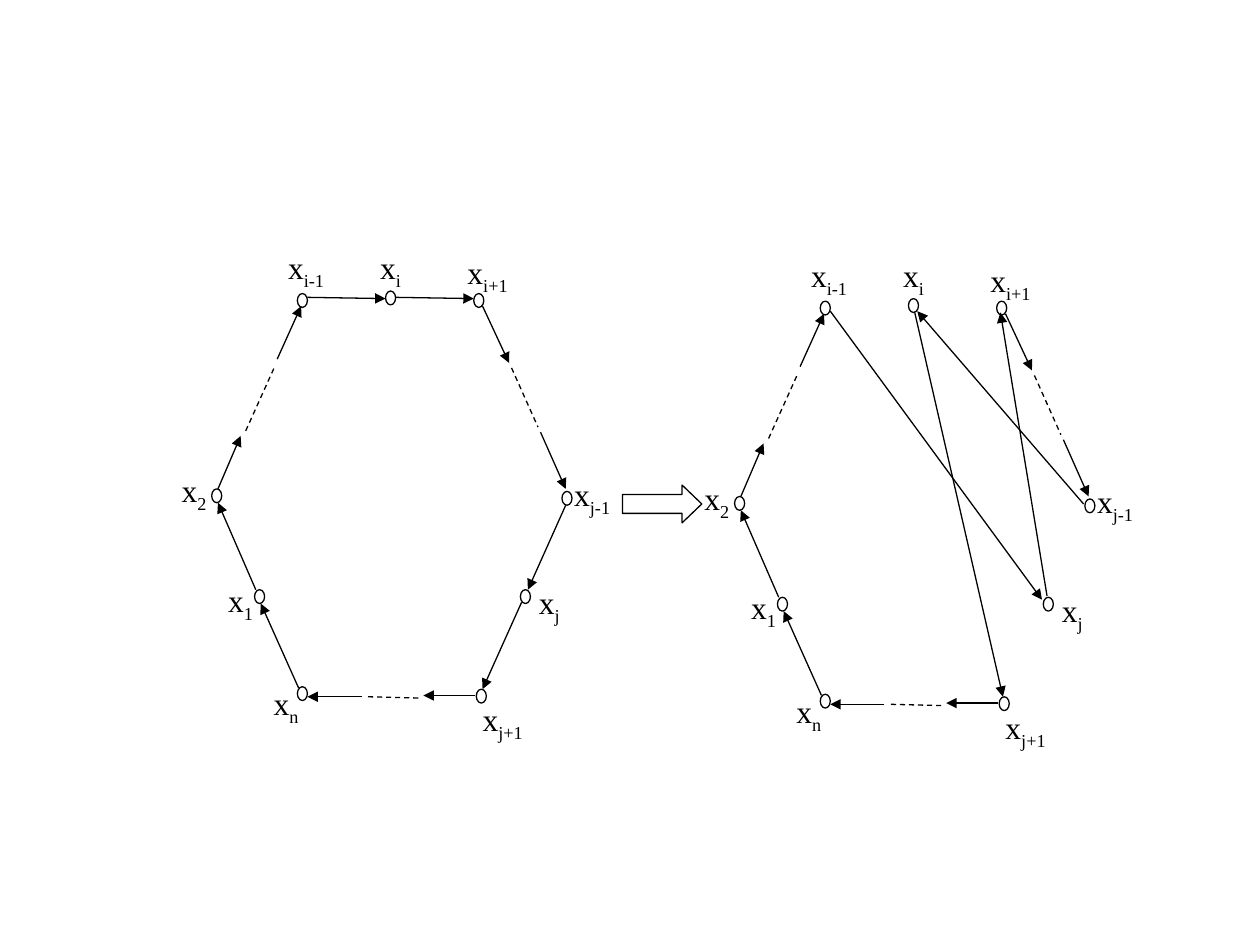
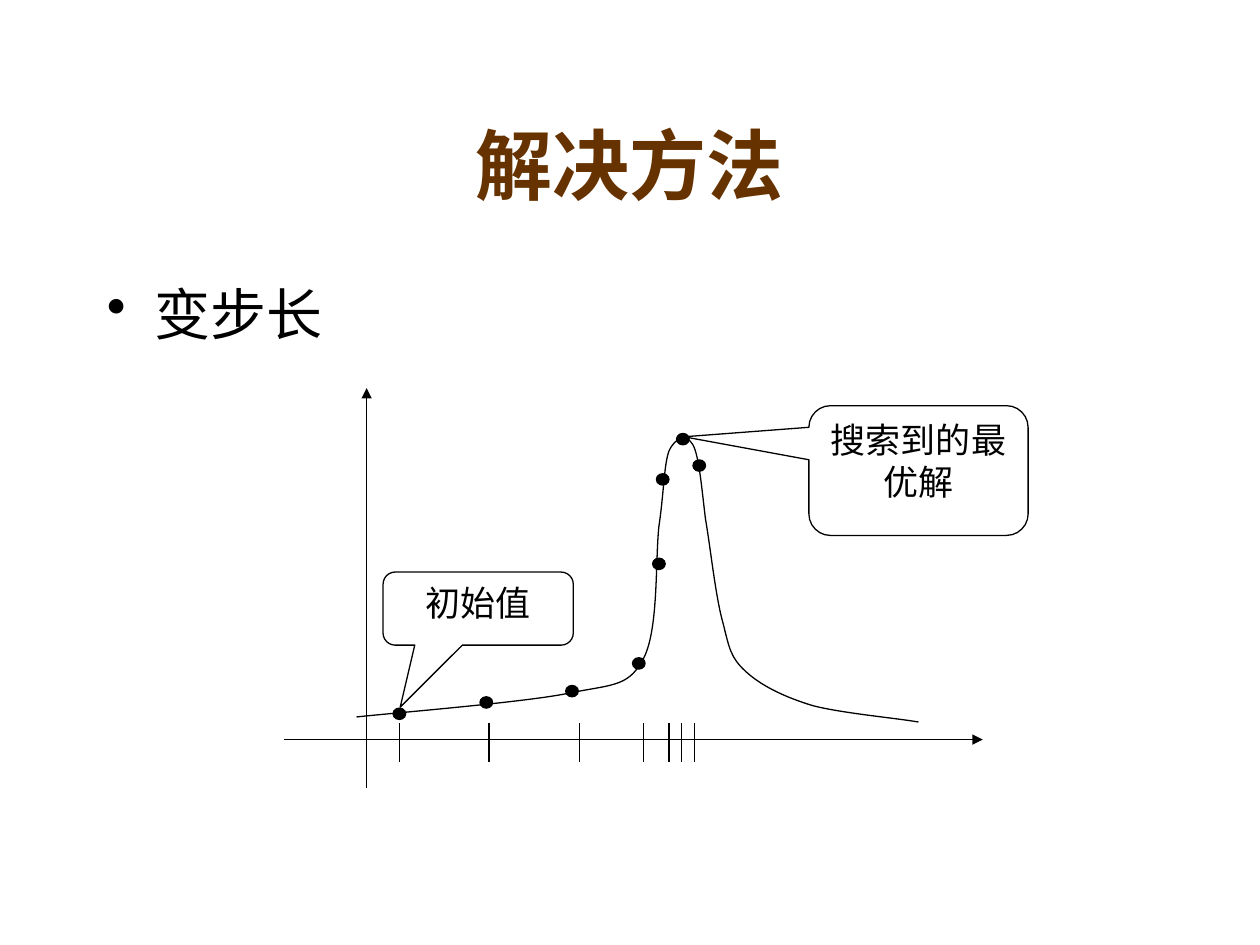
from typing import Any, NamedTuple

from pptx import Presentation
from pptx import util as u
from pptx.dml.color import RGBColor
from pptx.enum import dml, shapes, text
from pptx.oxml.xmlchemy import OxmlElement

# The slide is a grid of 100 columns by 75 rows; all lengths are in grid cells.
COLS, ROWS = 100, 75
CELL = u.Inches(0.1)
FONT = "Times New Roman"
BLACK, WHITE, BROWN = "000000", "FFFFFF", "663300"
LINE_WIDTH = u.Pt(0.75)


class Box(NamedTuple):
    x: float
    y: float
    w: float
    h: float


class Node(NamedTuple):
    index: str
    x: float
    y: float
    label_x: float
    label_y: float


class Segment(NamedTuple):
    x1: float
    y1: float
    x2: float
    y2: float
    arrow: bool = True
    dash: bool = False


class Callout(NamedTuple):
    words: str
    box: Box
    tip_x: float
    tip_y: float


NODES = [
    Node("1", 20.2, 46.8, 15.9, 45.6),
    Node("2", 16.8, 38.8, 12.2, 36.9),
    Node("i-1", 23.6, 23.3, 21.1, 19.2),
    Node("i", 30.6, 23.1, 27.8, 19.2),
    Node("i+1", 37.6, 23.3, 35.5, 19.6),
    Node("j-1", 44.6, 39, 43.8, 37.2),
    Node("j", 41.3, 46.8, 40.4, 45.8),
    Node("j+1", 37.8, 54.7, 36.7, 55.1),
    Node("n", 23.6, 54.5, 19.5, 53.8),
]
KEPT_EDGES = [
    Segment(23.7, 54.6, 20.7, 47.9),
    Segment(20.3, 46.8, 17.3, 39.9),
    Segment(17.3, 38.8, 19.1, 34.6),
    Segment(19.5, 34.2, 21.8, 29.1, arrow=False, dash=True),
    Segment(22, 28.5, 23.9, 24.3),
    Segment(38.3, 24.3, 40.4, 28.8),
    Segment(40.6, 29.2, 42.7, 33.9, arrow=False, dash=True),
    Segment(42.9, 34.3, 44.9, 38.8),
    Segment(37.7, 55.2, 33.6, 55.2),
    Segment(33.2, 55.4, 29.2, 55.3, arrow=False, dash=True),
    Segment(28.7, 55.3, 24.4, 55.3),
]
OLD_EDGES = [
    Segment(24.4, 23.6, 30.6, 23.7),
    Segment(31.4, 23.6, 37.6, 23.7),
    Segment(44.9, 40.1, 41.9, 46.8),
    Segment(41.4, 47.8, 38.3, 54.7),
]
# Given in the frame of the left tour, like the other edges
NEW_EDGES = [
    Segment(24.4, 24.1, 41.2, 47),
    Segment(41.6, 46.7, 37.9, 24.2),
    Segment(44.5, 39.4, 31.3, 24.1),
    Segment(31.1, 24.2, 38.1, 54.7),
]
NEW_TOUR_SHIFT = (41.5, 0.6)

AXES = [Segment(22.5, 58.7, 78, 58.7), Segment(29.1, 62.5, 29.1, 30.8)]
STEPS = [31.7, 38.8, 46, 51.1, 53.1, 54.1, 55.1]
SAMPLES = [(31.2, 56.2), (38.1, 55.3), (44.9, 54.4), (50.2, 52.2),
           (51.8, 44.3), (52.1, 37.6), (53.7, 34.4), (55, 36.5)]
# Start point, then two control points and an end point for each bend
CURVE = [
    (28.3, 56.9),
    (31, 56.6), (40.9, 55.8), (44.7, 55.1),
    (48.5, 54.3), (49.8, 54.6), (51, 52.4),
    (52.3, 50.2), (52, 44.6), (52.3, 41.8),
    (52.7, 39.1), (52.7, 36.9), (53.1, 35.8),
    (53.6, 34.7), (54.5, 34.4), (55, 35.3),
    (55.5, 36.2), (55.7, 38.8), (56, 41.2),
    (56.4, 43.5), (56.8, 47.4), (57.4, 49.5),
    (57.9, 51.5), (58, 52.2), (59.2, 53.3),
    (60.4, 54.4), (62.2, 55.3), (64.5, 56),
    (66.8, 56.6), (71.2, 57), (72.9, 57.3),
]
CALLOUTS = [
    Callout("初始值", Box(30.4, 45.4, 15.1, 5.8), -0.41, 1.35),
    Callout("搜索到的最优解", Box(64.2, 32.2, 17.4, 10.3), -1.07, -0.26),
]


def cells(*lengths: float) -> list[int]:
    return [round(n * CELL) for n in lengths]


def paint(fill: Any, colour: str) -> None:
    fill.solid()
    fill.fore_color.rgb = RGBColor.from_string(colour)


def outline(sp: Any) -> None:
    paint(sp.line.fill, BLACK)
    sp.line.width = LINE_WIDTH


def add_preset(parent: Any, kind: Any, box: Box, fill: str | None = None) -> Any:
    sp = parent.add_shape(kind, *cells(*box))
    sp.shadow.inherit = False
    outline(sp)
    if fill:
        paint(sp.fill, fill)
    else:
        sp.fill.background()
    return sp


def add_segment(parent: Any, seg: Segment, dx: float = 0, dy: float = 0) -> None:
    line = parent.add_connector(
        shapes.MSO_CONNECTOR.STRAIGHT,
        *cells(seg.x1 + dx, seg.y1 + dy, seg.x2 + dx, seg.y2 + dy))
    outline(line)
    if seg.dash:
        line.line.dash_style = dml.MSO_LINE.DASH
    if seg.arrow:
        tail = OxmlElement("a:tailEnd")
        tail.set("type", "triangle")
        line.line._get_or_add_ln().append(tail)
    line._element.spPr.append(OxmlElement("a:effectLst"))


def style(p: Any, size: float, colour: str = BLACK, bold: bool = False,
          align: Any = text.PP_ALIGN.CENTER) -> None:
    p.alignment = align
    for r in p.runs:
        r.font.name, r.font.size, r.font.bold = FONT, u.Pt(size), bold
        paint(r.font.fill, colour)


def add_text(parent: Any, box: Box, words: str) -> Any:
    """Add a wrapping text box and return its text frame."""
    tf = parent.add_textbox(*cells(*box)).text_frame
    tf.word_wrap = True
    tf.text = words
    return tf


def add_label(parent: Any, x: float, y: float, index: str) -> None:
    """Write x with its index as a subscript."""
    p = add_text(parent, Box(x, y, 6.4, 5.1), "x").paragraphs[0]
    r = p.add_run()
    r.text = index
    style(p, 18)
    r.font._element.set("baseline", "-25000")


def add_tour(parent: Any, edges: list[Segment], dx: float = 0, dy: float = 0) -> None:
    for node in NODES:
        add_preset(parent, shapes.MSO_SHAPE.OVAL,
                   Box(node.x + dx, node.y + dy, 0.8, 1.1), WHITE)
        add_label(parent, node.label_x + dx, node.label_y + dy, node.index)
    for seg in edges:
        add_segment(parent, seg, dx, dy)


def add_curve(parent: Any, points: list[tuple[float, float]]) -> None:
    """Draw a smooth line by joining each three straight legs into one bend."""
    start, *rest = [cells(*point) for point in points]
    builder = parent.build_freeform(*start)
    builder.add_line_segments(rest, close=False)
    sp = builder.convert_to_shape()
    sp.shadow.inherit = False
    sp.fill.background()
    outline(sp)
    legs = iter(sp._element.xpath(".//a:lnTo"))
    for bend in zip(legs, legs, legs):
        curve = OxmlElement("a:cubicBezTo")
        bend[0].addprevious(curve)
        for leg in bend:
            curve.append(leg[0])
            leg.getparent().remove(leg)


def add_callout(parent: Any, callout: Callout) -> None:
    sp = add_preset(parent, shapes.MSO_SHAPE.ROUNDED_RECTANGULAR_CALLOUT, callout.box)
    sp.adjustments[0], sp.adjustments[1] = callout.tip_x, callout.tip_y
    tf = sp.text_frame
    tf.word_wrap = True
    tf.vertical_anchor = text.MSO_ANCHOR.TOP
    tf.margin_left = tf.margin_right = u.Inches(0.04)
    tf.text = callout.words
    style(tf.paragraphs[0], 20)


def add_bullet(p: Any) -> None:
    indent = u.Inches(0.38)
    pPr = p._p.get_or_add_pPr()
    pPr.set("marL", str(indent))
    pPr.set("indent", str(-indent))
    bullet = OxmlElement("a:buChar")
    bullet.set("char", "•")
    pPr.append(bullet)


def build_tours(s: Any) -> None:
    add_tour(s.shapes, KEPT_EDGES + OLD_EDGES)
    add_tour(s.shapes, KEPT_EDGES + NEW_EDGES, *NEW_TOUR_SHIFT)
    arrow = add_preset(s.shapes, shapes.MSO_SHAPE.RIGHT_ARROW,
                       Box(49.4, 38.5, 6.3, 3), WHITE)
    arrow.adjustments[1] = 0.52


def build_step_search(s: Any) -> None:
    title = add_text(s.shapes, Box(7.5, 6.7, 85, 12.5), "解决方法")
    title.vertical_anchor = text.MSO_ANCHOR.MIDDLE
    style(title.paragraphs[0], 44, BROWN, bold=True)

    body = add_text(s.shapes, Box(7.5, 21.7, 85, 45), "变步长").paragraphs[0]
    add_bullet(body)
    style(body, 32, align=text.PP_ALIGN.LEFT)

    plot = s.shapes.add_group_shape().shapes
    for axis in AXES:
        add_segment(plot, axis)
    for x in STEPS:
        add_segment(plot, Segment(x, 57.4, x, 60.5, arrow=False))
    add_curve(plot, CURVE)
    for x, y in SAMPLES:
        add_preset(plot, shapes.MSO_SHAPE.OVAL, Box(x, y, 1, 0.9), BLACK)
    for callout in CALLOUTS:
        add_callout(plot, callout)


def main() -> None:
    prs = Presentation()
    prs.slide_width, prs.slide_height = cells(COLS, ROWS)
    for build in (build_tours, build_step_search):
        build(prs.slides.add_slide(prs.slide_layouts[6]))
    prs.save("out.pptx")


if __name__ == "__main__":
    main()
